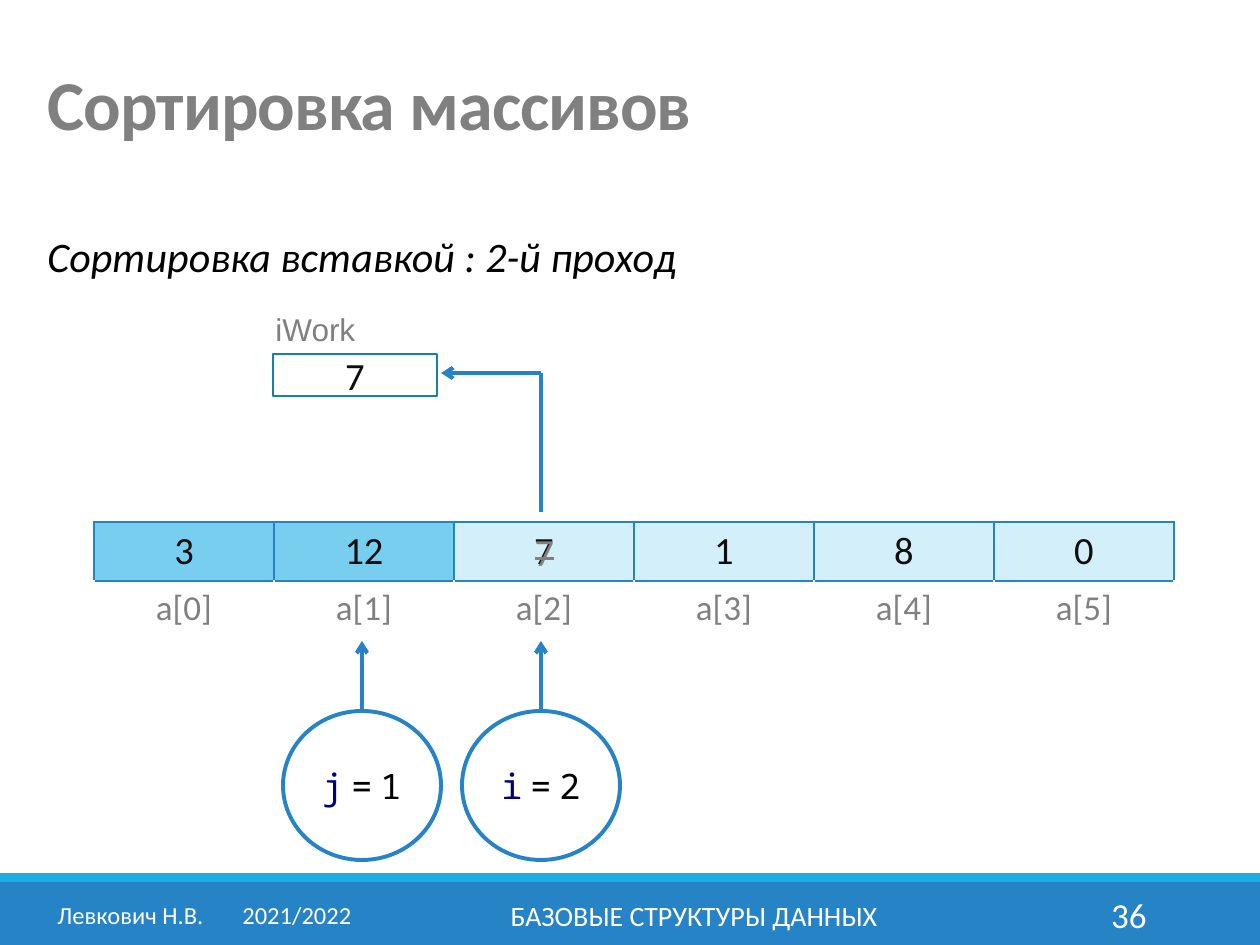
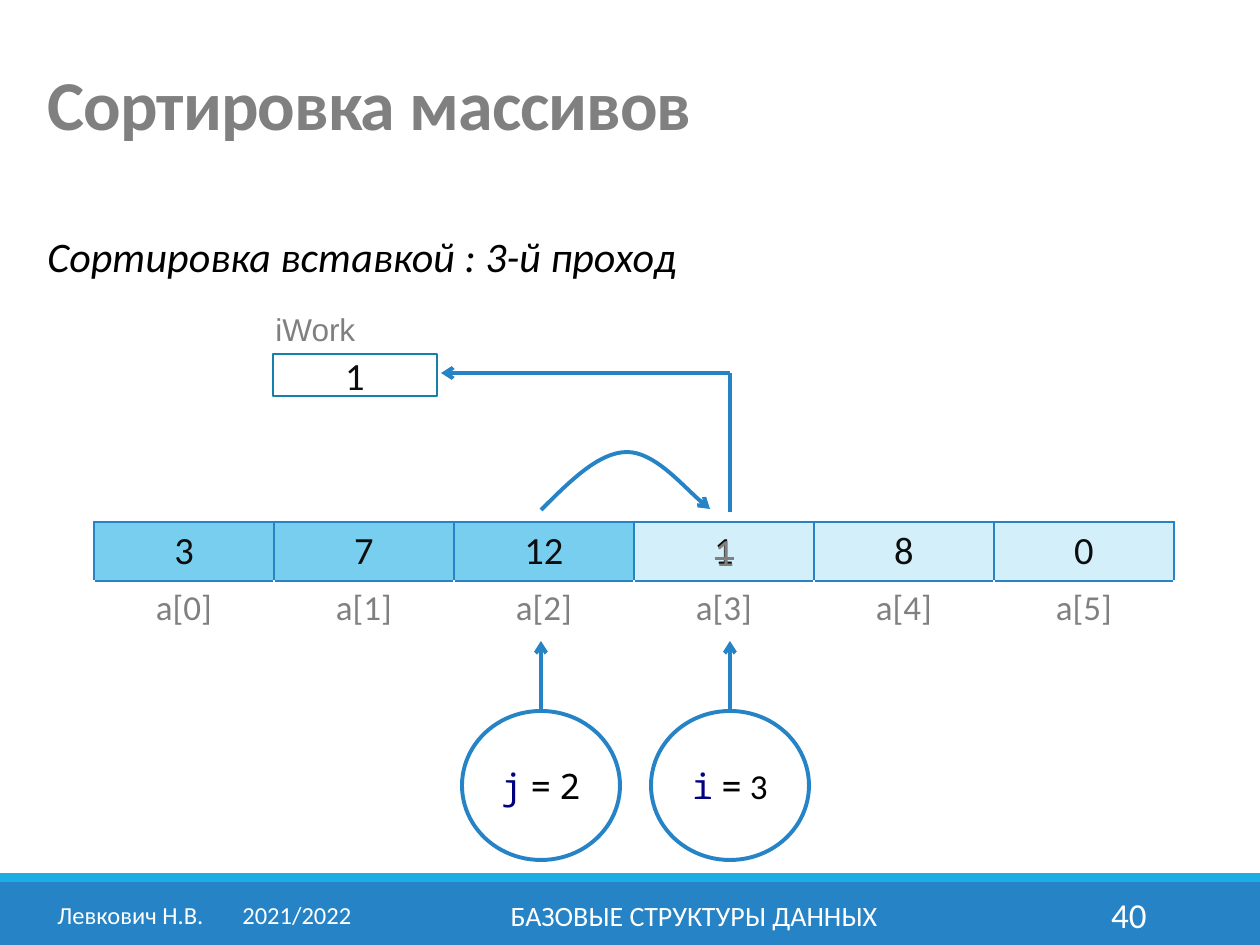
from collections import namedtuple

from lxml import etree
from pptx import Presentation
from pptx.dml.color import RGBColor
from pptx.enum.shapes import MSO_CONNECTOR, MSO_SHAPE
from pptx.enum.text import MSO_ANCHOR, PP_ALIGN
from pptx.oxml.ns import qn
from pptx.util import Inches, Pt

Box = namedtuple("Box", "left top width height")
Span = namedtuple("Span", "text format")

BLUE = RGBColor(0x26, 0x83, 0xC6)
SKY = RGBColor(0x1C, 0xAD, 0xE4)
TEAL = RGBColor(0x15, 0x80, 0xA9)
SORTED = RGBColor(0x77, 0xCE, 0xEF)
UNSORTED = RGBColor(0xD2, 0xEF, 0xFA)
NAVY = RGBColor(0x00, 0x00, 0x80)
GREY = RGBColor(0x80, 0x80, 0x80)
INK = RGBColor(0x0D, 0x0D, 0x0D)
BLACK = RGBColor(0x00, 0x00, 0x00)
WHITE = RGBColor(0xFF, 0xFF, 0xFF)

SANS, MONO = "Calibri", "Noto Sans Mono"
TITLE = {"size": 40, "color": GREY, "bold": True}
SUBTITLE = {"size": 24, "color": BLACK, "italic": True}
VALUE = {"size": 22, "color": INK}
INDEX = {"size": 20, "color": GREY}

PAGE = Box(0, 0, 1260, 945)
ARRAY = Box(94, 522, 1080, 113)
VALUE_ROW = 59
WORK = Box(273, 354, 164, 42)
POINTER_TOP = 641
CENTRES = {1: 362, 2: 541, 3: 730}

PASSES = [
    {"number": 36, "name": "2-й проход", "values": [3, 12, 7, 1, 8, 0],
     "i": 2, "i_font": MONO, "shift": False},
    {"number": 40, "name": "3-й проход", "values": [3, 7, 12, 1, 8, 0],
     "i": 3, "i_font": SANS, "shift": True},
]


def px(length):
    return Inches(length / 126)


def emu(box):
    return [px(length) for length in box]


def write(frame, spans, align=PP_ALIGN.LEFT, anchor=MSO_ANCHOR.TOP, **spacing):
    """Fill a text frame with one paragraph of formatted spans."""
    frame.word_wrap = True
    frame.vertical_anchor = anchor
    para = frame.paragraphs[0]
    para.alignment = align
    for name, value in spacing.items():
        setattr(para, name, value)
    for span in spans:
        run = para.add_run()
        run.text = span.text
        values = {"name": SANS, **span.format}
        run.font.color.rgb = values.pop("color")
        values["size"] = Pt(values["size"])
        for name, value in values.items():
            setattr(run.font, name, value)
    return para


def add_text(page, box, text, style, **layout):
    frame = page.shapes.add_textbox(*emu(box)).text_frame
    return write(frame, [Span(text, style)], **layout)


def add_figure(shapes, kind, box, fill=None, line=None, weight=1.5):
    figure = shapes.add_shape(kind, *emu(box))
    figure.shadow.inherit = False
    if fill is None:
        figure.fill.background()
    else:
        figure.fill.solid()
        figure.fill.fore_color.rgb = fill
    if line is None:
        figure.line.fill.background()
    else:
        figure.line.color.rgb = line
        figure.line.width = Pt(weight)
    return figure


def add_arrowhead(shape, end):
    outline = shape._element.spPr.find(qn("a:ln"))
    etree.SubElement(outline, qn(f"a:{end}"), type="arrow")


def add_line(shapes, start, finish, end=None):
    line = shapes.add_connector(MSO_CONNECTOR.STRAIGHT, *emu(start + finish))
    line.line.color.rgb = BLUE
    line.line.width = Pt(2.25)
    if end:
        add_arrowhead(line, end)
    etree.SubElement(line._element.spPr, qn("a:effectLst"))


# Title and subtitle
def draw_heading(page, box, name):
    title = add_text(page, Box(box.left + 35, box.top + 37, 1191, 145),
                     "Сортировка массивов", TITLE,
                     anchor=MSO_ANCHOR.MIDDLE, line_spacing=0.85)
    title.runs[0].font._element.set("spc", "-50")
    add_text(page, Box(box.left + 35, box.top + 224, 1160, 63),
             f"Сортировка вставкой : {name}", SUBTITLE,
             space_before=Pt(12), space_after=Pt(6))


# Footer bands with author, course and page number
def draw_footer(page, box, number):
    add_figure(page.shapes, MSO_SHAPE.RECTANGLE,
               Box(box.left, box.top + 9, box.width, box.height - 9), BLUE)
    add_figure(page.shapes, MSO_SHAPE.RECTANGLE,
               Box(box.left, box.top, box.width, 9), SKY)
    parts = [
        (40, 329, "Левкович Н.В.\t2021/2022", 14, PP_ALIGN.CENTER),
        (381, 626, "БАЗОВЫЕ СТРУКТУРЫ ДАННЫХ", 16, PP_ALIGN.CENTER),
        (1023, 136, str(number), 20, PP_ALIGN.RIGHT),
    ]
    paras = [add_text(page, Box(box.left + left, box.top + 17, width, 50), text,
                      {"size": size, "color": WHITE},
                      align=align, anchor=MSO_ANCHOR.MIDDLE)
             for left, width, text, size, align in parts]
    tabs = etree.SubElement(paras[0]._element.get_or_add_pPr(), qn("a:tabLst"))
    etree.SubElement(tabs, qn("a:tab"), pos=str(px(185)), algn="l")


def set_borders(cell, left, right, top, bottom):
    properties = cell._tc.get_or_add_tcPr()
    sides = {"lnL": left, "lnR": right, "lnT": top, "lnB": bottom}
    for position, (side, color) in enumerate(sides.items()):
        width = Pt(1.5 if color == BLUE else 1)
        line = etree.Element(qn(f"a:{side}"), w=str(int(width)))
        fill = etree.SubElement(line, qn("a:solidFill"))
        etree.SubElement(fill, qn("a:srgbClr"), val=str(color))
        properties.insert(position, line)


# Array values above their indexes
def draw_array(page, box, values, current):
    table = page.shapes.add_table(2, len(values), *emu(box)).table
    table.first_row = table.horz_banding = False
    table.rows[0].height = px(VALUE_ROW)
    table.rows[1].height = px(box.height - VALUE_ROW)
    for column, value in enumerate(values):
        table.columns[column].width = px(box.width // len(values))
        rows = [
            (str(value), VALUE, SORTED if column < current else UNSORTED,
             MSO_ANCHOR.TOP, [BLUE] * 4),
            (f"a[{column}]", INDEX, WHITE, MSO_ANCHOR.MIDDLE,
             [WHITE, WHITE, BLUE, WHITE]),
        ]
        for row, (text, style, fill, anchor, borders) in enumerate(rows):
            cell = table.cell(row, column)
            write(cell.text_frame, [Span(text, style)], align=PP_ALIGN.CENTER)
            cell.vertical_anchor = anchor
            cell.fill.solid()
            cell.fill.fore_color.rgb = fill
            set_borders(cell, *borders)


# Struck-out value over the cell being moved
def draw_strike(page, box, value, column, count):
    centre = box.left + box.width // count * column + box.width // count // 2
    para = add_text(page, Box(centre - 94, box.top, 189, VALUE_ROW), str(value),
                    {"size": 22, "color": GREY}, align=PP_ALIGN.CENTER)
    para.runs[0].font._element.set("strike", "sngStrike")


# Work variable and the elbow arrow that fills it
def draw_work(page, box, value, source):
    add_text(page, Box(box.left - 10, box.top - 50, 110, 50), "iWork",
             {"name": "Arial", "size": 18, "color": GREY})
    cell = add_figure(page.shapes, MSO_SHAPE.RECTANGLE, box, line=TEAL)
    write(cell.text_frame, [Span(str(value), VALUE)],
          align=PP_ALIGN.CENTER, anchor=MSO_ANCHOR.MIDDLE)
    elbow = (source, box.top + 19)
    group = page.shapes.add_group_shape().shapes
    add_line(group, (box.left + box.width + 4, elbow[1]), elbow, "headEnd")
    add_line(group, elbow, (source, box.top + 158))


# Circle with an index variable, pointing up at its cell
def draw_pointer(page, box, name, value, font):
    group = page.shapes.add_group_shape().shapes
    centre, circle_top = box.left + box.width // 2, box.top + 70
    add_line(group, (centre, circle_top), (centre, box.top), "tailEnd")
    circle = add_figure(group, MSO_SHAPE.OVAL,
                        Box(box.left, circle_top, box.width, box.height - 70),
                        line=BLUE, weight=2.25)
    gap = Span(" ", {"size": 20, "color": BLACK})
    spans = [
        Span(name, {"name": MONO, "size": 20, "color": NAVY}),
        gap,
        Span("=", {"name": MONO, "size": 20, "color": BLACK}),
        gap,
        Span(str(value), {"name": font, "size": 20, "color": BLACK}),
    ]
    write(circle.text_frame, spans,
          align=PP_ALIGN.CENTER, anchor=MSO_ANCHOR.MIDDLE)


# Curved arrow that shifts a value one cell right
def draw_shift(page, box):
    points = [(29, 29), (58, 0), (86, 0), (113, 0), (151, 44), (169, 57)]
    builder = page.shapes.build_freeform(
        px(box.left), px(box.top + box.height))
    builder.add_line_segments(
        [(px(box.left + x), px(box.top + y)) for x, y in points], close=False)
    curve = builder.convert_to_shape()
    curve.shadow.inherit = False
    curve.fill.background()
    curve.line.color.rgb = BLUE
    curve.line.width = Pt(2.25)
    add_arrowhead(curve, "tailEnd")
    # Each three straight segments become one cubic curve
    segments = list(curve._element.iter(qn("a:lnTo")))
    outline = segments[0].getparent()
    for start in range(0, len(segments), 3):
        cubic = etree.SubElement(outline, qn("a:cubicBezTo"))
        for segment in segments[start:start + 3]:
            cubic.append(segment[0])
            outline.remove(segment)


def draw_pass(deck, step):
    page = deck.slides.add_slide(deck.slide_layouts[6])
    values, current = step["values"], step["i"]
    moved = values[current]
    draw_footer(page, Box(0, 873, PAGE.width, 72), step["number"])
    draw_heading(page, PAGE, step["name"])
    draw_array(page, ARRAY, values, current)
    draw_work(page, WORK, moved, CENTRES[current])
    for name, index, font in [("i", current, step["i_font"]),
                              ("j", current - 1, MONO)]:
        box = Box(CENTRES[index] - 79, POINTER_TOP, 158, 219)
        draw_pointer(page, box, name, index, font)
    if step["shift"]:
        draw_shift(page, Box(CENTRES[current - 1], 452, 169, 58))
    draw_strike(page, ARRAY, moved, current, len(values))


def main():
    deck = Presentation()
    deck.slide_width, deck.slide_height = px(PAGE.width), px(PAGE.height)
    for step in PASSES:
        draw_pass(deck, step)
    deck.save("out.pptx")


if __name__ == "__main__":
    main()
